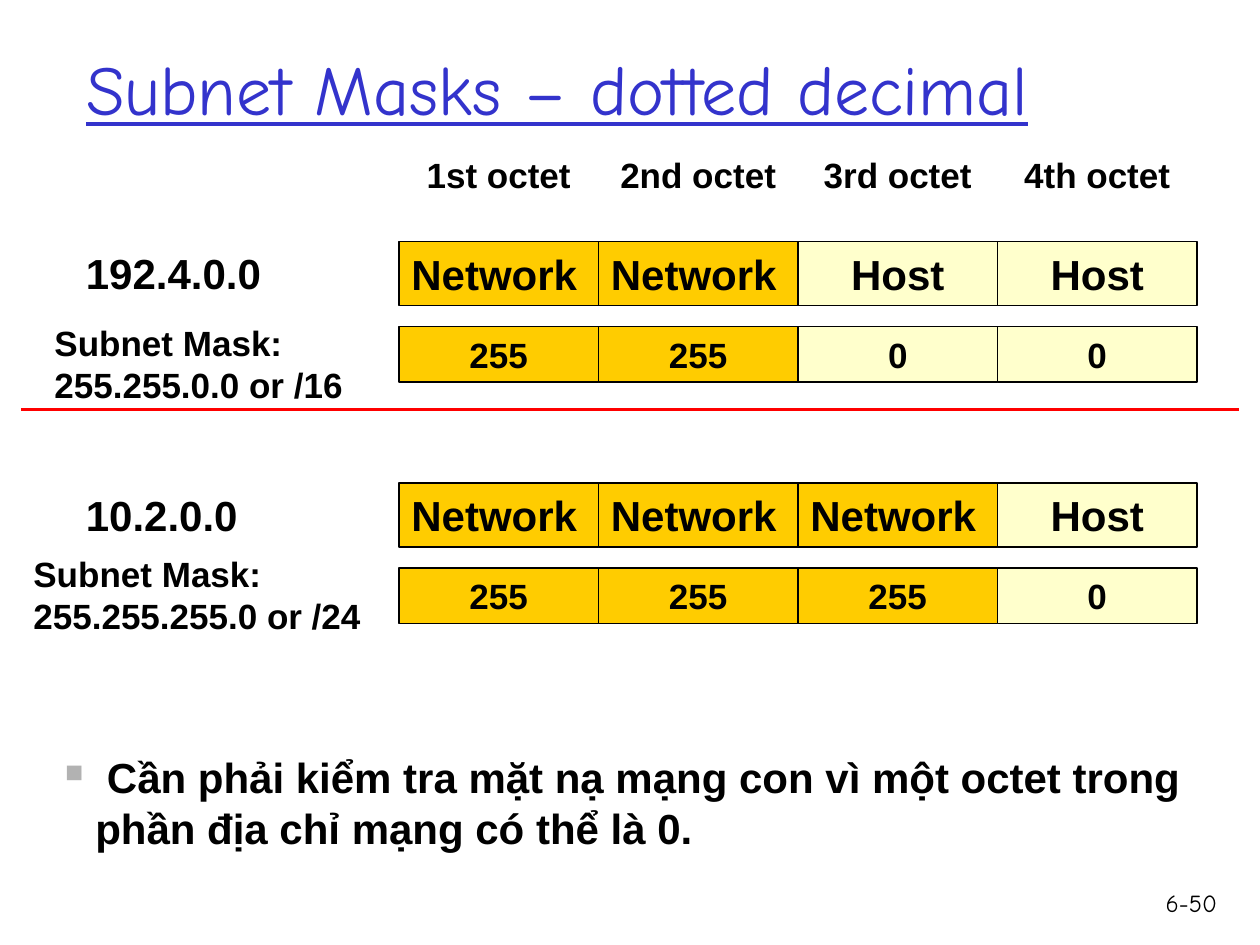
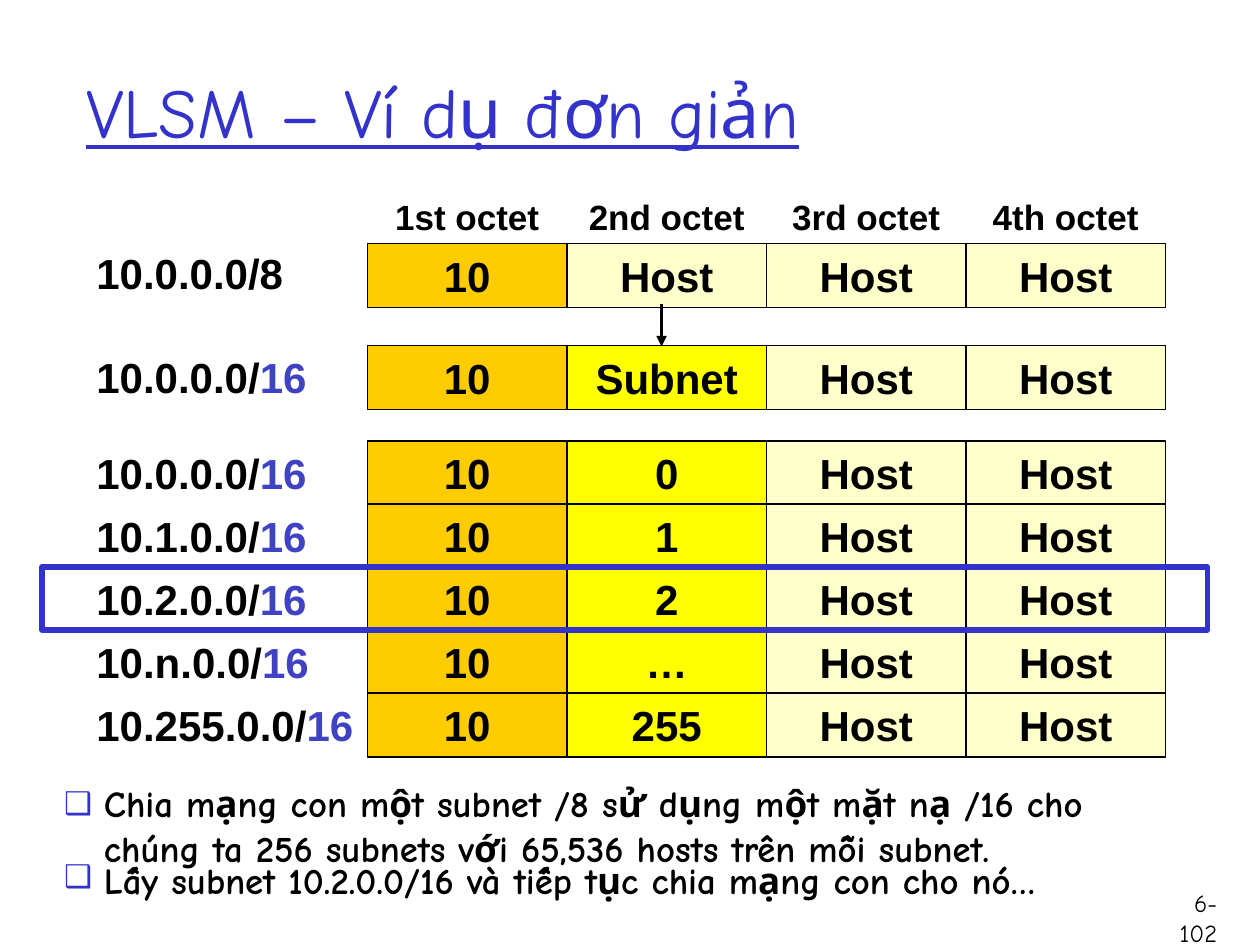
import pptx
import pptx.dml.color
import pptx.enum.shapes
import pptx.enum.text
import pptx.util
import lxml.etree

PX = 7620  # 120 px to the inch
BLACK, BLUE, RED, SUFFIX, GREY = "000000", "3333CC", "FF0000", "3F42C3", "B2B2B2"
FILLS = {"N": "FFCC00", "S": "FFFF00", "H": "FFFFCC"}  # network, subnet, host
SANS, COMIC = "Arial", "Comic Neue"
CELL_WIDTH = 190
ALIGN = pptx.enum.text.PP_ALIGN
ANCHOR = pptx.enum.text.MSO_ANCHOR
SHAPE = pptx.enum.shapes.MSO_SHAPE
A = "{http://schemas.openxmlformats.org/drawingml/2006/main}"


def colour(code):
    return pptx.dml.color.RGBColor.from_string(code)


def write(para, spans, size, align=ALIGN.LEFT, font=SANS, bold=True, underline=False):
    para.alignment = align
    for text, code in spans:
        span = para.add_run()
        span.text = text
        span.font.name = font
        span.font.size = pptx.util.Pt(size)
        span.font.bold = bold
        span.font.underline = underline
        span.font.color.rgb = colour(code)


deck = pptx.Presentation()
deck.slide_width, deck.slide_height = 1200 * PX, 900 * PX
mask_page = deck.slides.add_slide(deck.slide_layouts[5])
vlsm_page = deck.slides.add_slide(deck.slide_layouts[1])

# Octet rows: top, height, text size, cell texts, cell kinds
mask_rows = [
    (230, 61, 24, "Network Network Host Host", "NNHH"),
    (311, 53, 20, "255 255 0 0", "NNHH"),
    (460, 61, 24, "Network Network Network Host", "NNNH"),
    (541, 53, 20, "255 255 255 0", "NNNH"),
]
vlsm_rows = [
    (232, 61, 24, "10 Host Host Host", "NHHH"),
    (329, 61, 24, "10 Subnet Host Host", "NSHH"),
]
# Row labels: left, top, width, height, text size, spans
mask_labels = [
    (70, 230, 290, 60, 24, [("192.4.0.0", BLACK)]),
    (40, 300, 320, 92, 20, [("Subnet Mask: 255.255.0.0 or /16", BLACK)]),
    (70, 460, 290, 60, 24, [("10.2.0.0", BLACK)]),
    (20, 520, 340, 92, 20, [("Subnet Mask: 255.255.255.0 or /24", BLACK)]),
]
vlsm_labels = [
    (80, 230, 250, 60, 24, [("10.0.0.0/8", BLACK)]),
    (80, 329, 250, 60, 24, [("10.0.0.0/", BLACK), ("16", SUFFIX)]),
]
# The five subnets stand 60 px apart
for index, (octet, subnet) in enumerate(zip(["0", "1", "2", "n", "255"], ["0", "1", "2", "…", "255"])):
    top = 420 + 60 * index
    vlsm_rows.append((top, 61, 24, f"10 {subnet} Host Host", "NSHH"))
    vlsm_labels.append((80, top, 270, 60, 24, [(f"10.{octet}.0.0/", BLACK), ("16", SUFFIX)]))

# Titles, page numbers, octet headings, labels and cells
for page, title, title_top, number, grid_left, head_top, labels, rows in [
    (mask_page, "Subnet Masks – dotted decimal", 8, "6-50", 380, 140, mask_labels, mask_rows),
    (vlsm_page, "VLSM – Ví dụ đơn giản", 30, "6-102", 350, 180, vlsm_labels, vlsm_rows),
]:
    heading = page.shapes.title
    heading.left, heading.top, heading.width, heading.height = 70 * PX, title_top * PX, 1020 * PX, 150 * PX
    heading.text_frame.auto_size = pptx.enum.text.MSO_AUTO_SIZE.NONE
    heading.text_frame.vertical_anchor = ANCHOR.MIDDLE
    write(heading.text_frame.paragraphs[0], [(title, BLUE)], 40, font=COMIC, bold=False, underline=True)

    box = page.shapes.add_textbox(1090 * PX, 840 * PX, 81 * PX, 60 * PX)
    box.text_frame.word_wrap = False
    write(box.text_frame.paragraphs[0], [(number, BLACK)], 14, ALIGN.RIGHT, COMIC, bold=False)

    for column, ordinal in enumerate(["1st", "2nd", "3rd", "4th"]):
        left = grid_left + column * CELL_WIDTH
        box = page.shapes.add_textbox(left * PX, head_top * PX, CELL_WIDTH * PX, 52 * PX)
        box.text_frame.word_wrap = True
        write(box.text_frame.paragraphs[0], [(f"{ordinal} octet", BLACK)], 20, ALIGN.CENTER)

    for left, top, width, height, size, spans in labels:
        box = page.shapes.add_textbox(left * PX, top * PX, width * PX, height * PX)
        box.text_frame.word_wrap = True
        write(box.text_frame.paragraphs[0], spans, size)

    for top, height, size, texts, kinds in rows:
        for column, (text, kind) in enumerate(zip(texts.split(), kinds)):
            left = grid_left + column * CELL_WIDTH
            cell = page.shapes.add_shape(SHAPE.RECTANGLE, left * PX, top * PX, CELL_WIDTH * PX, height * PX)
            cell.shadow.inherit = False
            cell.fill.solid()
            cell.fill.fore_color.rgb = colour(FILLS[kind])
            cell.line.color.rgb = colour(BLACK)
            cell.line.width = pptx.util.Pt(0.75)
            cell.text_frame.vertical_anchor = ANCHOR.MIDDLE
            align = ALIGN.LEFT if text == "Network" else ALIGN.CENTER
            write(cell.text_frame.paragraphs[0], [(text, BLACK)], size, align)

# Divider between the two masks, arrow from host octet to subnet octet
for page, ends, code, arrow in [
    (mask_page, (20, 390, 1180, 390), RED, False),
    (vlsm_page, (630, 290, 630, 330), BLACK, True),
]:
    line = page.shapes.add_connector(pptx.enum.shapes.MSO_CONNECTOR.STRAIGHT, *[end * PX for end in ends])
    line.line.color.rgb = colour(code)
    line.line.width = pptx.util.Pt(2)
    if arrow:
        lxml.etree.SubElement(line.line._get_or_add_ln(), A + "tailEnd", type="triangle")
    lxml.etree.SubElement(line._element.spPr, A + "effectLst")

# Frame around the chosen subnet
frame = vlsm_page.shapes.add_shape(SHAPE.RECTANGLE, 40 * PX, 540 * PX, 1110 * PX, 60 * PX)
frame.shadow.inherit = False
frame.fill.background()
frame.line.color.rgb = colour(BLUE)
frame.line.width = pptx.util.Pt(3)

# Bulleted remarks
note = mask_page.shapes.add_textbox(50 * PX, 710 * PX, 1130 * PX, 108 * PX)
note.text_frame.word_wrap = True
body = vlsm_page.placeholders[1]
body.left, body.top, body.width, body.height = 49 * PX, 738 * PX, 1084 * PX, 103 * PX
body.text_frame.auto_size = pptx.enum.text.MSO_AUTO_SIZE.NONE
first, second = body.text_frame.paragraphs[0], body.text_frame.add_paragraph()
for para, text, indent, mark, code, percent, size, font in [
    (note.text_frame.paragraphs[0],
     " Cần phải kiểm tra mặt nạ mạng con vì một octet trong phần địa chỉ mạng có thể là 0.",
     29, "■", GREY, 60, 24, SANS),
    (first,
     "Chia mạng con một subnet /8 sử dụng một mặt nạ /16 cho chúng ta 256 subnets với 65,536 hosts trên mỗi subnet.",
     38, "❑", BLUE, 85, 21, COMIC),
    (second, "Lấy subnet 10.2.0.0/16 và tiếp tục chia mạng con cho nó…", 38, "❑", BLUE, 85, 21, COMIC),
]:
    props = para._p.get_or_add_pPr()
    props.set("marL", str(indent * PX))
    props.set("indent", str(-indent * PX))
    tint = lxml.etree.SubElement(props, A + "buClr")
    lxml.etree.SubElement(tint, A + "srgbClr", val=code)
    lxml.etree.SubElement(props, A + "buSzPct", val=str(percent * 1000))
    lxml.etree.SubElement(props, A + "buChar", char=mark)
    para.space_before = pptx.util.Pt(0)
    write(para, [(text, BLACK)], size, font=font)
second.space_before = pptx.util.Pt(4)
second.line_spacing = 0.5

deck.save("out.pptx")
